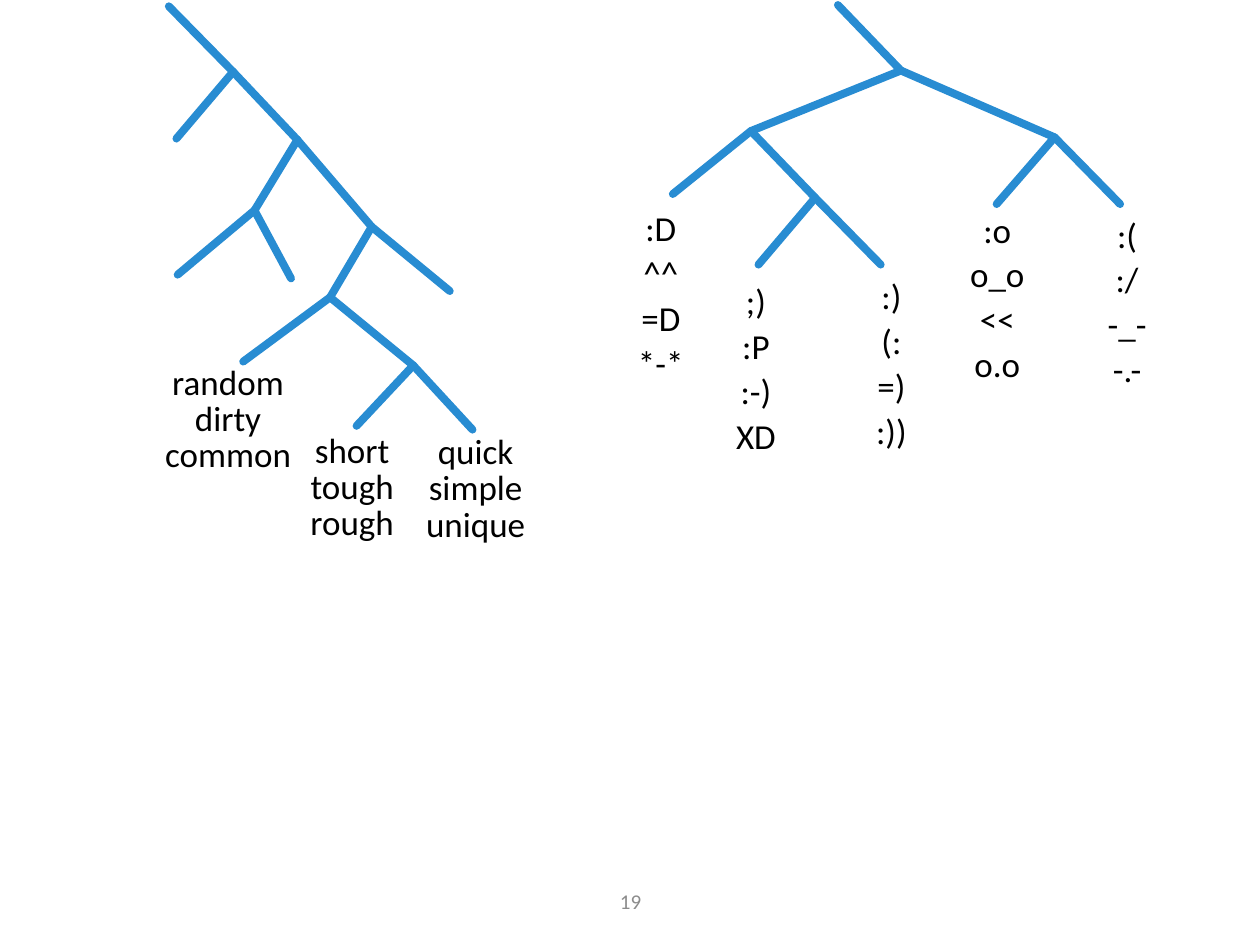
from dataclasses import dataclass

from lxml import etree
from pptx import Presentation
from pptx.dml.color import RGBColor
from pptx.enum.shapes import MSO_CONNECTOR
from pptx.enum.text import MSO_ANCHOR, PP_ALIGN
from pptx.oxml.ns import qn
from pptx.util import Inches, Pt

STRAIGHT = MSO_CONNECTOR.STRAIGHT
CENTER = PP_ALIGN.CENTER
TOP = MSO_ANCHOR.TOP
MIDDLE = MSO_ANCHOR.MIDDLE


@dataclass(frozen=True)
class Theme:
    """Colours, font and sizes of the slide."""

    branch: RGBColor = RGBColor(0x28, 0x8C, 0xD2)
    text: RGBColor = RGBColor(0, 0, 0)
    muted: RGBColor = RGBColor(0x8C, 0x8C, 0x8C)
    font: str = "Calibri"
    word_size: Pt = Pt(20)
    number_size: Pt = Pt(12)
    word_gap: Pt = Pt(4)
    branch_width: Pt = Pt(4.5)


@dataclass
class SlideBuilder:
    """Draws trees and word lists on one slide."""

    slide: object
    theme: Theme

    def branch(self, start, end):
        """Draw one round-ended branch between two points."""
        ends = [Inches(value) for value in (*start, *end)]
        line = self.slide.shapes.add_connector(STRAIGHT, *ends)
        line.line.color.rgb = self.theme.branch
        line.line.width = self.theme.branch_width
        line.line._get_or_add_ln().set("cap", "rnd")
        etree.SubElement(line._element.spPr, qn("a:effectLst"))

    def tree(self, points, children):
        """Draw the branches from each parent to its children."""
        for parent, names in children.items():
            for name in names:
                self.branch(points[parent], points[name])

    def text(self, lines, area, size, color, spacing=1.0, anchor=TOP):
        """Add a centred text box with one paragraph per line."""
        box = self.slide.shapes.add_textbox(*[Inches(value) for value in area])
        frame = box.text_frame
        frame.word_wrap = True
        frame.vertical_anchor = anchor
        frame.text = "\n".join(lines)
        for index, para in enumerate(frame.paragraphs):
            para.alignment = CENTER
            para.line_spacing = spacing
            para.space_before = self.theme.word_gap if index else Pt(0)
            for span in para.runs:
                span.font.name = self.theme.font
                span.font.size = size
                span.font.color.rgb = color

    def leaf(self, words, area, spacing):
        """Add the words gathered under a leaf."""
        self.text(words.split(), area, self.theme.word_size, self.theme.text, spacing)

    def page_number(self, number, area):
        """Add the page number at the foot."""
        self.text([number], area, self.theme.number_size, self.theme.muted, anchor=MIDDLE)


WORD_POINTS = {
    "root": (1.34, 0.05), "top": (1.85, 0.57), "top left": (1.4, 1.1),
    "fork": (2.36, 1.11), "inner": (2.02, 1.67), "inner left": (1.41, 2.18),
    "inner right": (2.31, 2.21), "outer": (2.95, 1.8), "outer right": (3.57, 2.31),
    "words": (2.62, 2.36), "random": (1.93, 2.87), "pair": (3.28, 2.9),
    "short": (2.83, 3.38), "quick": (3.75, 3.41),
}
WORD_CHILDREN = {
    "root": ["top"], "top": ["top left", "fork"], "fork": ["inner", "outer"],
    "inner": ["inner left", "inner right"], "outer": ["words", "outer right"],
    "words": ["random", "pair"], "pair": ["short", "quick"],
}
WORD_LEAVES = [
    ("quick simple unique", (3.23, 3.45, 1.09, 1.01)),
    ("short tough rough", (2.25, 3.44, 1.09, 1.01)),
    ("random dirty common", (1.15, 2.9, 1.32, 1.01)),
]
FACE_POINTS = {
    "root": (6.65, 0.04), "top": (7.15, 0.56), "happy": (5.96, 1.04),
    "laugh": (5.34, 1.54), "smiles": (6.47, 1.57), "wink": (6.02, 2.1),
    "smile": (6.99, 2.1), "unhappy": (8.37, 1.09), "surprise": (7.91, 1.62),
    "sad": (8.89, 1.62),
}
FACE_CHILDREN = {
    "root": ["top"], "top": ["happy", "unhappy"], "happy": ["laugh", "smiles"],
    "smiles": ["wink", "smile"], "unhappy": ["surprise", "sad"],
}
FACE_LEAVES = [
    (";) :P :-) XD", (5.68, 2.21, 0.64, 1.35)),
    (":D ^^ =D *-*", (4.83, 1.63, 0.83, 1.33)),
    (":) (: =) :))", (6.53, 2.17, 1.09, 1.49)),
    (":o o_o << o.o", (7.49, 1.64, 0.85, 1.36)),
    (":( :/ -_- -.-", (8.52, 1.68, 0.85, 1.64)),
]


def main():
    """Build the slide and save it."""
    deck = Presentation()
    deck.slide_width = Inches(10)
    deck.slide_height = Inches(7.5)
    page = SlideBuilder(deck.slides.add_slide(deck.slide_layouts[6]), Theme())
    page.page_number("19", (3.42, 6.95, 3.17, 0.4))
    for points, children, leaves, spacing in (
        (WORD_POINTS, WORD_CHILDREN, WORD_LEAVES, 0.7),
        (FACE_POINTS, FACE_CHILDREN, FACE_LEAVES, 0.9),
    ):
        page.tree(points, children)
        for words, area in leaves:
            page.leaf(words, area, spacing)
    deck.save("out.pptx")


if __name__ == "__main__":
    main()
